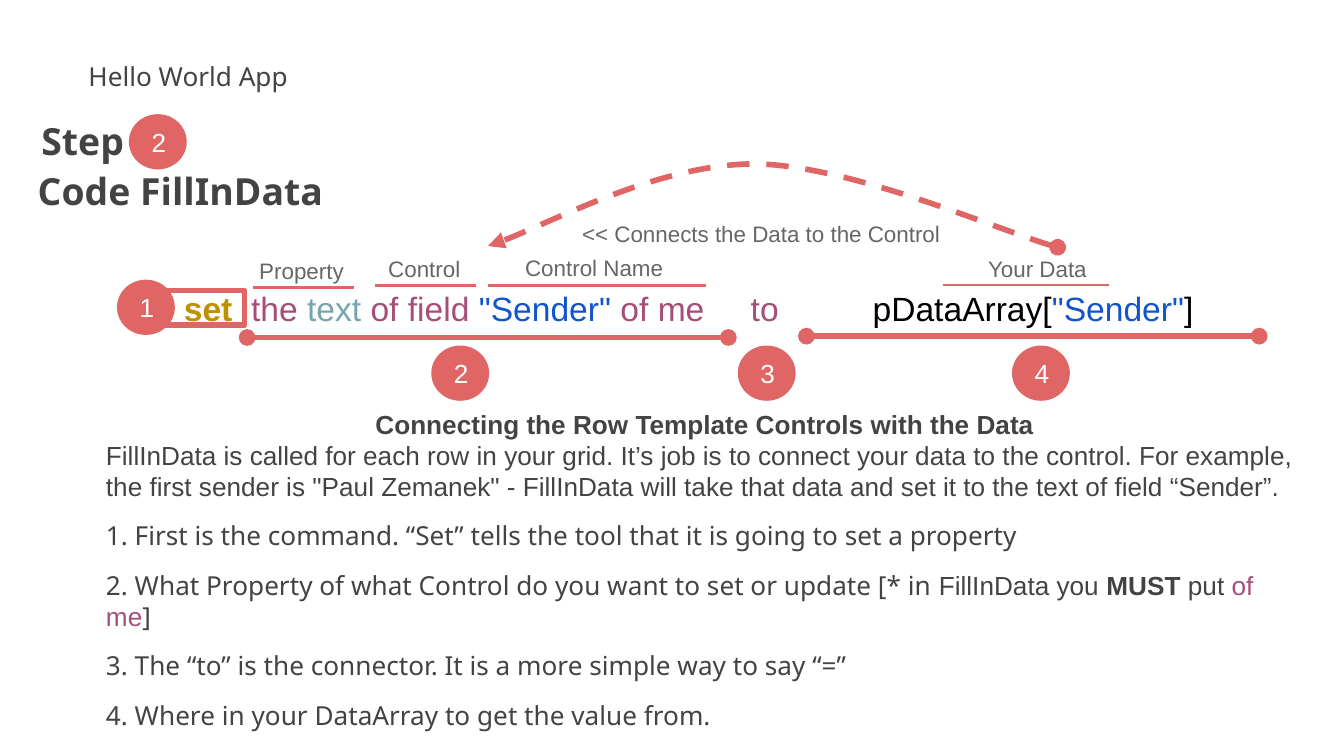
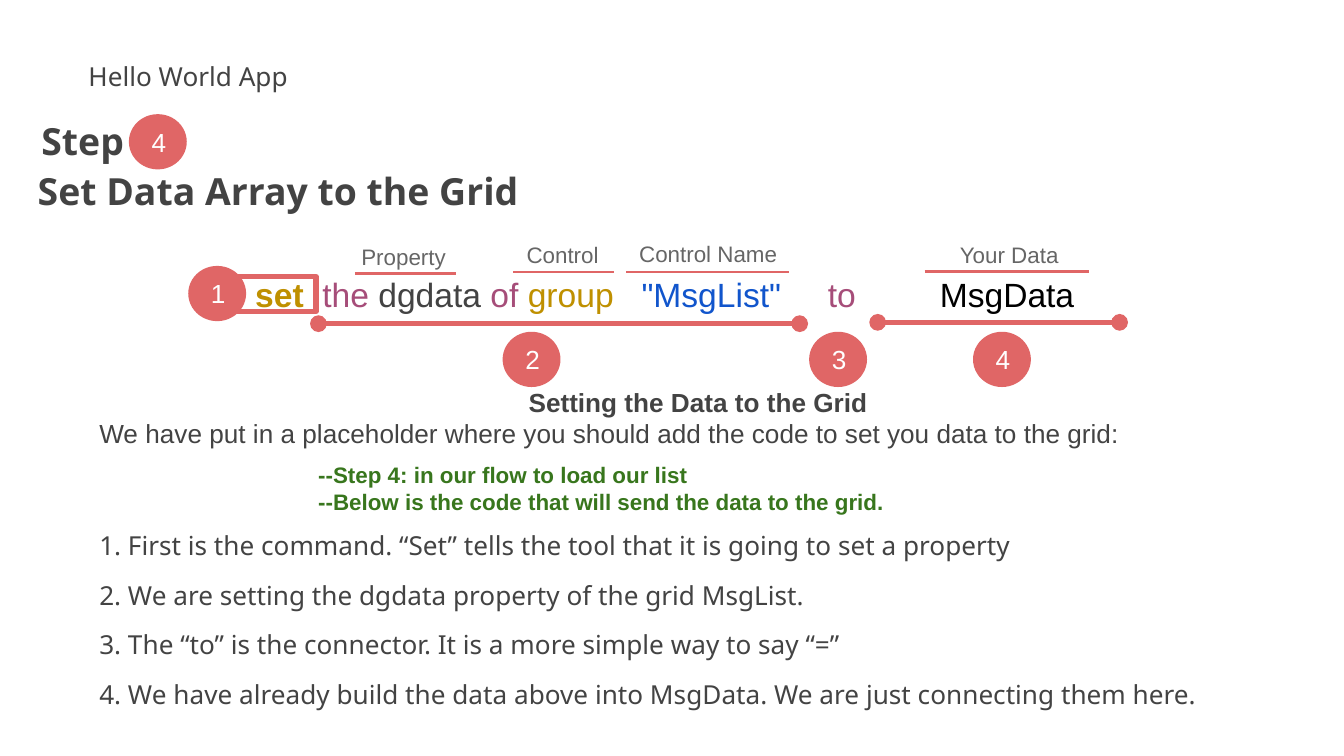
import pptx
import pptx.dml.color
import pptx.enum.dml
import pptx.enum.shapes
import pptx.enum.text
import pptx.oxml
import pptx.oxml.ns
import pptx.util

Pt = pptx.util.Pt
qn = pptx.oxml.ns.qn
SHAPE = pptx.enum.shapes.MSO_SHAPE
ALIGN = pptx.enum.text.PP_ALIGN
ANCHOR = pptx.enum.text.MSO_ANCHOR


class Theme:
    accent, ink, label, white, black = "E06666", "434343", "666666", "FFFFFF", "000000"
    command, keyword, prop, string, comment = "BF9000", "A64D79", "76A5AF", "1155CC", "38761D"
    sans, head = "Arial", "Noto Sans"
    title, code, body, small = 20, 18, 14, 12
    thick, thin = 3, 1.5
    inset, line_pitch, para_gap = 7.2, 16.6, 9.9


T = Theme

# Run formats
HEADING = dict(name=T.head, size=T.title, bold=True, color=T.ink)
NOTO = dict(name=T.head, size=T.body, bold=False, color=T.ink)
PLAIN = dict(NOTO, name=T.sans)
STRONG = dict(PLAIN, bold=True)
BADGE = dict(PLAIN, color=T.white)
LABEL = dict(PLAIN, size=T.small, color=T.label)
COMMENT = dict(STRONG, size=T.small, color=T.comment)


def code(color, bold=False):
    return dict(name=T.sans, size=T.code, bold=bold, color=color)


# Content: x and y inside a diagram are measured from its origin
APP_NAME = "Hello World App"
COMMAND_NOTE = "1. First is the command. “Set” tells the tool that it is going to set a property"
CONNECTOR_NOTE = "3. The “to” is the connector. It is a more simple way to say “=”"
LABEL_ROWS = {  # label: (text offset, underline offset)
    "Property": (-16.6, 7),
    "Control": (-17.3, 6.2),
    "Control Name": (-18, 6.2),
    "Your Data": (-17.5, 5.8),
}
SLIDES = [
    dict(
        step="2", title="Code FillInData", title_width=275.8,
        origin=(91.4, 146.9), code_width=625, span_end=583.2, data_badge=451.5,
        code=[("set", code(T.command, True)), ("\tthe ", code(T.keyword)),
              ("text", code(T.prop)), (" of field ", code(T.keyword)),
              ('"Sender" ', code(T.string)), ("of me\tto", code(T.keyword)),
              ("\tpDataArray[", code(T.black)), ('"Sender"', code(T.string)),
              ("]", code(T.black))],
        tabs=[36, 303.7, 369],
        labels=[  # text, box left, box width, align, underline from, to
            ("Control", 200.9, 56.9, ALIGN.LEFT, 200.9, 254.9),
            ("Control Name", 261.4, 113.8, ALIGN.CENTER, 261.4, 378),
            ("Property", 131.8, 60.5, ALIGN.LEFT, 135.4, 189.4),
            ("Your Data", 505.4, 100.8, ALIGN.CENTER, 505.4, 594)],
        body_at=(49.7, 211.7),
        body=[  # space before, runs
            (0, [("Connecting the Row Template Controls with the Data", STRONG)]),
            (0, [("FillInData is called for each row in your grid. It’s job is to connect "
                  "your data to the control. For example, the first sender is "
                  '"Paul Zemanek" - FillInData will take that data and set it to the '
                  "text of field “Sender”.", PLAIN)]),
            (T.para_gap, [(COMMAND_NOTE, NOTO)]),
            (T.para_gap, [("2. What Property of what Control do you want to set or update "
                           "[* in ", NOTO), ("FillInData you ", PLAIN), ("MUST", STRONG),
                          (" put ", PLAIN), ("of me", dict(PLAIN, color=T.keyword)),
                          ("]", NOTO)]),
            (T.para_gap, [(CONNECTOR_NOTE, NOTO)]),
            (T.para_gap, [("4. Where in your DataArray to get the value from.", NOTO)])],
        arc=dict(points=[(566.6, 132.5), (539.3, 125.3), (455.8, 88.6), (404.6, 87.8),
                         (353.5, 87.8), (285.1, 124.6), (261.4, 131.8)],
                 caption="<< Connects the Data to the Control",
                 box=(286.6, 110.9, 242.6, 23.8)),
    ),
    dict(
        step="4", title="Set Data Array to the Grid", title_width=329,
        origin=(129.6, 139.5), code_width=468.7, span_end=470.2, data_badge=392.4,
        code=[("set", code(T.command, True)), ("\tthe ", code(T.keyword)),
              ("dgdata", code(T.ink)), (" of ", code(T.keyword)),
              ("group", code(T.command)), ('\t"MsgList"', code(T.string)),
              ("\tto", code(T.keyword)), ("\tMsgData", code(T.black))],
        tabs=[36, 207, 306.8, 366.8],
        labels=[
            ("Control", 275, 56.9, ALIGN.LEFT, 275, 329),
            ("Control Name", 330.5, 97.9, ALIGN.CENTER, 335.5, 422.6),
            ("Property", 186.5, 60.5, ALIGN.LEFT, 190.1, 244.1),
            ("Your Data", 490.3, 100.8, ALIGN.CENTER, 495.4, 583.2)],
        body_at=(46.1, 200.2),
        body=[
            (0, [("Setting the Data to the Grid", STRONG)]),
            (0, [("We have put in a placeholder where you should add the code to set you "
                  "data to the grid:", PLAIN)]),
            (43.4, [(COMMAND_NOTE, NOTO)]),
            (T.para_gap, [("2. We are setting the dgdata property of the grid MsgList.", NOTO)]),
            (T.para_gap, [(CONNECTOR_NOTE, NOTO)]),
            (T.para_gap, [("4. We have already build the data above into MsgData. We are "
                           "just connecting them here.", NOTO)])],
        comment=dict(lines=["--Step 4: in our flow to load our list",
                            "--Below is the code that will send the data to the grid."],
                     box=(163.4, 244.1, 388, 34.6)),
    ),
]


# Text helpers
def rgb(color):
    return pptx.dml.color.RGBColor.from_string(color)


def add_run(p, text, fmt):
    r = p.add_run()
    r.text = text
    for key, value in fmt.items():
        if key == "color":
            r.font.color.rgb = rgb(value)
        else:
            setattr(r.font, key, Pt(value) if key == "size" else value)


def write(tf, paragraphs, align=ALIGN.LEFT, anchor=ANCHOR.TOP):
    """Fill a frame with paragraphs, each a list of (text, format) runs."""
    frame = dict(word_wrap=True, vertical_anchor=anchor,
                 auto_size=pptx.enum.text.MSO_AUTO_SIZE.NONE)
    frame.update({f"margin_{side}": Pt(T.inset) for side in ("left", "top", "right", "bottom")})
    for key, value in frame.items():
        setattr(tf, key, value)
    for i, runs in enumerate(paragraphs):
        p = tf.paragraphs[0] if i == 0 else tf.add_paragraph()
        p.alignment = align
        for text, fmt in runs:
            add_run(p, text, fmt)


def add_text(s, box, paragraphs, **layout):
    tf = s.shapes.add_textbox(*map(Pt, box)).text_frame
    write(tf, paragraphs, **layout)
    return tf


# Shape helpers
def style_line(sp, width, head=None, tail=None, dash=None):
    sp.line.color.rgb = rgb(T.accent)
    sp.line.width = Pt(width)
    if dash:
        sp.line.dash_style = dash
    ln = sp.line._get_or_add_ln()
    for tag, kind in (("a:headEnd", head), ("a:tailEnd", tail)):
        if kind:
            ln.append(ln.makeelement(qn(tag), {"type": kind}))


def add_line(s, x1, x2, y, width, **ends):
    sp = s.shapes.add_connector(pptx.enum.shapes.MSO_CONNECTOR.STRAIGHT,
                                Pt(x1), Pt(y), Pt(x2), Pt(y))
    style_line(sp, width, **ends)
    spPr = sp._element.spPr
    spPr.append(spPr.makeelement(qn("a:effectLst"), {}))


def add_badge(s, x, y, number):
    sp = s.shapes.add_shape(SHAPE.OVAL, Pt(x), Pt(y), Pt(29.5), Pt(28.1))
    sp.shadow.inherit = False
    sp.fill.solid()
    sp.fill.fore_color.rgb = rgb(T.accent)
    style_line(sp, T.thin)
    write(sp.text_frame, [[(number, BADGE)]], anchor=ANCHOR.MIDDLE)


def add_arc(s, points):
    start, *rest = [(Pt(x), Pt(y)) for x, y in points]
    fb = s.shapes.build_freeform(*start)
    fb.add_line_segments(rest, close=False)
    sp = fb.convert_to_shape()
    sp.shadow.inherit = False
    sp.fill.background()
    style_line(sp, T.thick, "oval", "triangle", pptx.enum.dml.MSO_LINE.DASH)
    # Turn every three segments into one Bézier curve
    segments = list(sp._element.iter(qn("a:lnTo")))
    for i in range(0, len(segments), 3):
        curve = segments[i].makeelement(qn("a:cubicBezTo"), {})
        segments[i].addprevious(curve)
        for segment in segments[i:i + 3]:
            curve.append(segment[0])
            segment.getparent().remove(segment)


# Slide parts
def add_heading(s, d):
    add_text(s, (40.3, 25.2, 124.6, 23.8), [[(APP_NAME, NOTO)]])
    title = s.shapes.title
    box = dict(left=13, top=82.8, width=d["title_width"], height=34.6)
    for key, value in box.items():
        setattr(title, key, Pt(value))
    write(title.text_frame, [[(d["title"], HEADING)]])
    add_badge(s, 69.8, 61.9, d["step"])
    add_text(s, (15.1, 56.2, 60.5, 34.6), [[("Step", HEADING)]])


def add_body(s, d):
    tf = add_text(s, (*d["body_at"], 655.9, 182.2), [runs for _, runs in d["body"]])
    for p, (gap, _) in zip(tf.paragraphs, d["body"]):
        p.line_spacing, p.space_before = Pt(T.line_pitch), Pt(gap)
    tf.paragraphs[0].alignment = ALIGN.CENTER


def add_diagram(s, d):
    x, y = d["origin"]
    frame = s.shapes.add_shape(SHAPE.RECTANGLE, Pt(x - 14.4), Pt(y + 8.7), Pt(54), Pt(18.7))
    frame.shadow.inherit = False
    frame.fill.background()
    style_line(frame, T.thick)

    for x1, x2, dy in ((41, 298.8, 33.9), (340.6, d["span_end"], 33.2)):
        add_line(s, x + x1, x + x2, y + dy, T.thick, head="oval", tail="oval")
    badges = [(-28, 3.7), (140.4, 39), (304.6, 39), (d["data_badge"], 39)]
    for number, (dx, dy) in enumerate(badges, 1):
        add_badge(s, x + dx, y + dy, str(number))

    for text, left, width, align, x1, x2 in d["labels"]:
        text_dy, line_dy = LABEL_ROWS[text]
        add_text(s, (left, y + text_dy, width, 18), [[(text, LABEL)]], align=align)
        add_line(s, x1, x2, y + line_dy, T.thin)

    tf = add_text(s, (x, y, d["code_width"], 34.6), [d["code"]])
    pPr = tf.paragraphs[0]._p.get_or_add_pPr()
    tabs = pPr.makeelement(qn("a:tabLst"), {})
    pPr.append(tabs)
    for pos in d["tabs"]:
        tabs.append(tabs.makeelement(qn("a:tab"), {"pos": str(Pt(pos)), "algn": "l"}))


def main():
    prs = pptx.Presentation()
    prs.slide_width, prs.slide_height = Pt(720), Pt(405)
    for d in SLIDES:
        s = prs.slides.add_slide(prs.slide_layouts[5])
        add_body(s, d)
        add_diagram(s, d)
        add_heading(s, d)
        if "arc" in d:
            add_arc(s, d["arc"]["points"])
            add_text(s, d["arc"]["box"], [[(d["arc"]["caption"], LABEL)]], align=ALIGN.CENTER)
        if "comment" in d:
            add_text(s, d["comment"]["box"], [[(line, COMMENT)] for line in d["comment"]["lines"]],
                     anchor=ANCHOR.MIDDLE)
    prs.save("out.pptx")


if __name__ == "__main__":
    main()
